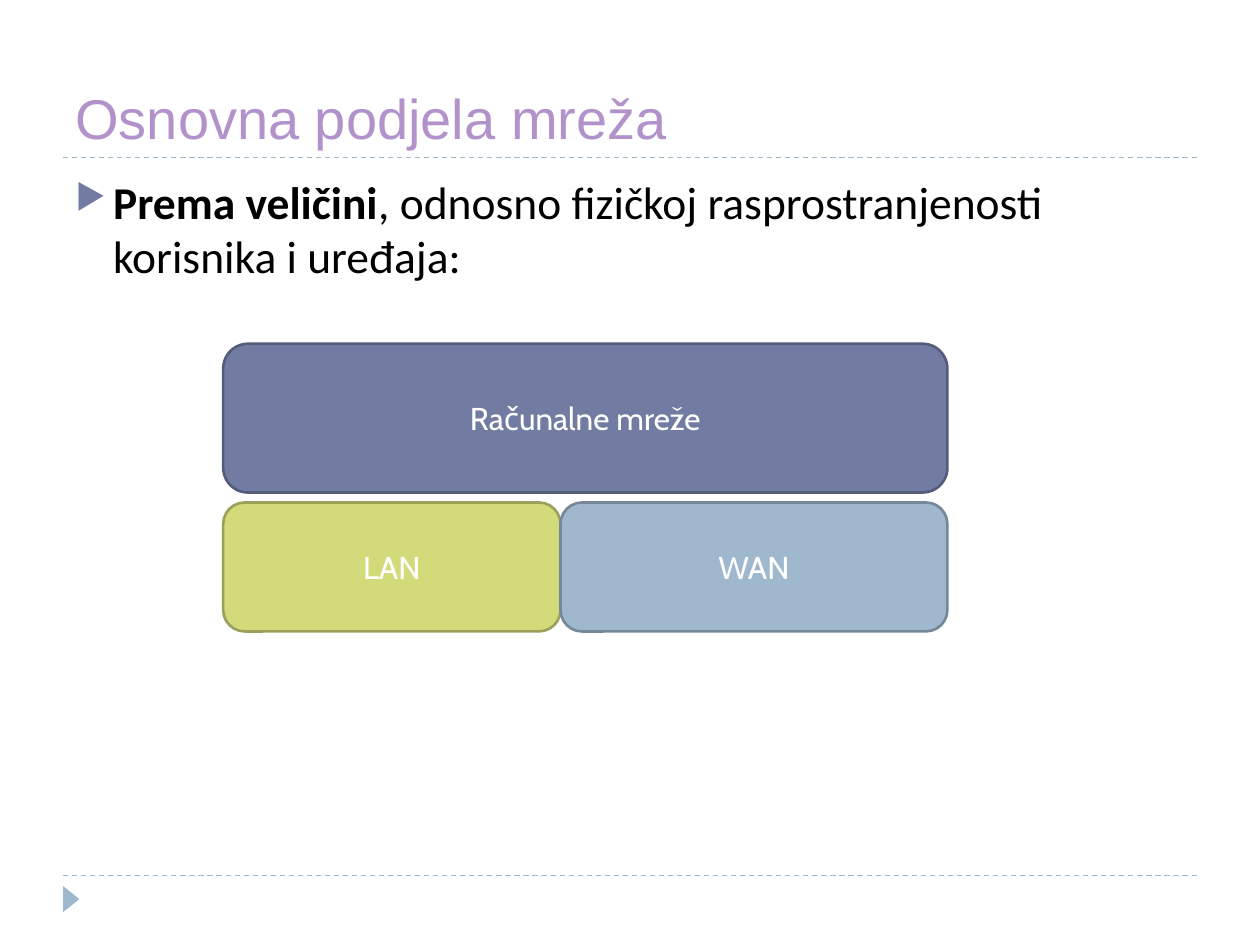
import pptx
import pptx.dml.color
import pptx.enum.dml
import pptx.enum.shapes
import pptx.enum.text
import pptx.oxml
import pptx.oxml.ns
import pptx.util
from pptx.util import Cm

SHAPES = pptx.enum.shapes.MSO_SHAPE
ANCHORS = pptx.enum.text.MSO_ANCHOR
SLATE, LIME, SKY = "727CA3", "D2DA7A", "9FB8CD"


def color(value):
    return pptx.dml.color.RGBColor.from_string(value)


def add_run(paragraph, text, size, font, text_color, bold=False):
    run = paragraph.add_run()
    run.text = text
    run.font.size = pptx.util.Pt(size)
    run.font.name = font
    run.font.bold = bold
    run.font.color.rgb = color(text_color)


def add_text_box(slide, box, anchor):
    frame = slide.shapes.add_textbox(*map(Cm, box)).text_frame
    frame.word_wrap = True
    frame.vertical_anchor = anchor
    return frame.paragraphs[0]


def add_filled_shape(slide, kind, box, fill):
    shape = slide.shapes.add_shape(kind, *map(Cm, box))
    shape.shadow.inherit = False
    shape.fill.solid()
    shape.fill.fore_color.rgb = color(fill)
    return shape


def add_rule(slide, left, top, width):
    line = slide.shapes.add_connector(
        pptx.enum.shapes.MSO_CONNECTOR.STRAIGHT,
        Cm(left), Cm(top), Cm(left + width), Cm(top))
    line.line.color.rgb = color(SKY)
    line.line.width = pptx.util.Pt(0.75)
    line.line.dash_style = pptx.enum.dml.MSO_LINE.DASH
    properties = line._element.spPr
    properties.append(pptx.oxml.parse_xml(
        f'<a:effectLst {pptx.oxml.ns.nsdecls("a")}/>'))


def add_title(slide, left, top, width, height):
    paragraph = add_text_box(slide, (left, top, width, height), ANCHORS.BOTTOM)
    add_run(paragraph, "Osnovna podjela mreža", 32, "Arial", "B292CA")
    add_rule(slide, left, top + height, width)


def add_body(slide, left, top, width, height):
    paragraph = add_text_box(slide, (left, top, width, height), ANCHORS.TOP)
    paragraph.space_before = pptx.util.Pt(6)
    add_run(paragraph, "Prema veličini", 26, "Calibri", "000000", bold=True)
    add_run(paragraph, ", odnosno fizičkoj rasprostranjenosti korisnika i uređaja:",
            26, "Calibri", "000000")

    # Hanging indent and arrow bullet
    properties = paragraph._p.get_or_add_pPr()
    properties.set("marL", str(Cm(0.76)))
    properties.set("indent", str(Cm(-0.76)))
    namespace = pptx.oxml.ns.nsdecls("a")
    for bullet_part in (
            f'<a:buClr {namespace}><a:srgbClr val="{SLATE}"/></a:buClr>',
            f'<a:buSzPct {namespace} val="76000"/>',
            f'<a:buChar {namespace} char="▶"/>'):
        properties.append(pptx.oxml.parse_xml(bullet_part))


def add_block(slide, box, text, fill, outline):
    shape = add_filled_shape(slide, SHAPES.ROUNDED_RECTANGLE, box, fill)
    shape.line.color.rgb = color(outline)
    shape.line.width = pptx.util.Pt(1.5)
    shape.text_frame.word_wrap = True
    shape.text_frame.vertical_anchor = ANCHORS.MIDDLE
    paragraph = shape.text_frame.paragraphs[0]
    paragraph.alignment = pptx.enum.text.PP_ALIGN.CENTER
    add_run(paragraph, text, 18, "Cabin", "FFFFFF")


def add_network_diagram(slide, left, top, width, height):
    parent_height, gap, lan_width = 3, 0.2, 6.8
    child_top = top + parent_height + gap
    child_height = height - parent_height - gap
    add_block(slide, (left, top, width, parent_height),
              "Računalne mreže", SLATE, "545C79")
    add_block(slide, (left, child_top, lan_width, child_height),
              "LAN", LIME, "9BA15A")
    add_block(slide, (left + lan_width, child_top, width - lan_width, child_height),
              "WAN", SKY, "768898")


def add_footer(slide, left, top, width):
    add_rule(slide, left, top, width)
    # Triangle turned to point right
    marker = add_filled_shape(slide, SHAPES.ISOSCELES_TRIANGLE,
                              (left - 0.1, top + 0.31, 0.53, 0.33), SKY)
    marker.rotation = 90
    marker.line.fill.background()


def main():
    presentation = pptx.Presentation()
    presentation.slide_width = Cm(25.4)
    presentation.slide_height = Cm(19.05)
    slide = presentation.slides.add_slide(presentation.slide_layouts[6])

    margin, content_width = 1.27, 22.86
    add_footer(slide, margin, 17.65, content_width)
    add_title(slide, margin, 0.43, content_width, 2.74)
    add_body(slide, margin, 3.38, content_width, 13.72)
    add_network_diagram(slide, 4.5, 6.93, 14.6, 5.8)

    presentation.save("out.pptx")


if __name__ == "__main__":
    main()
